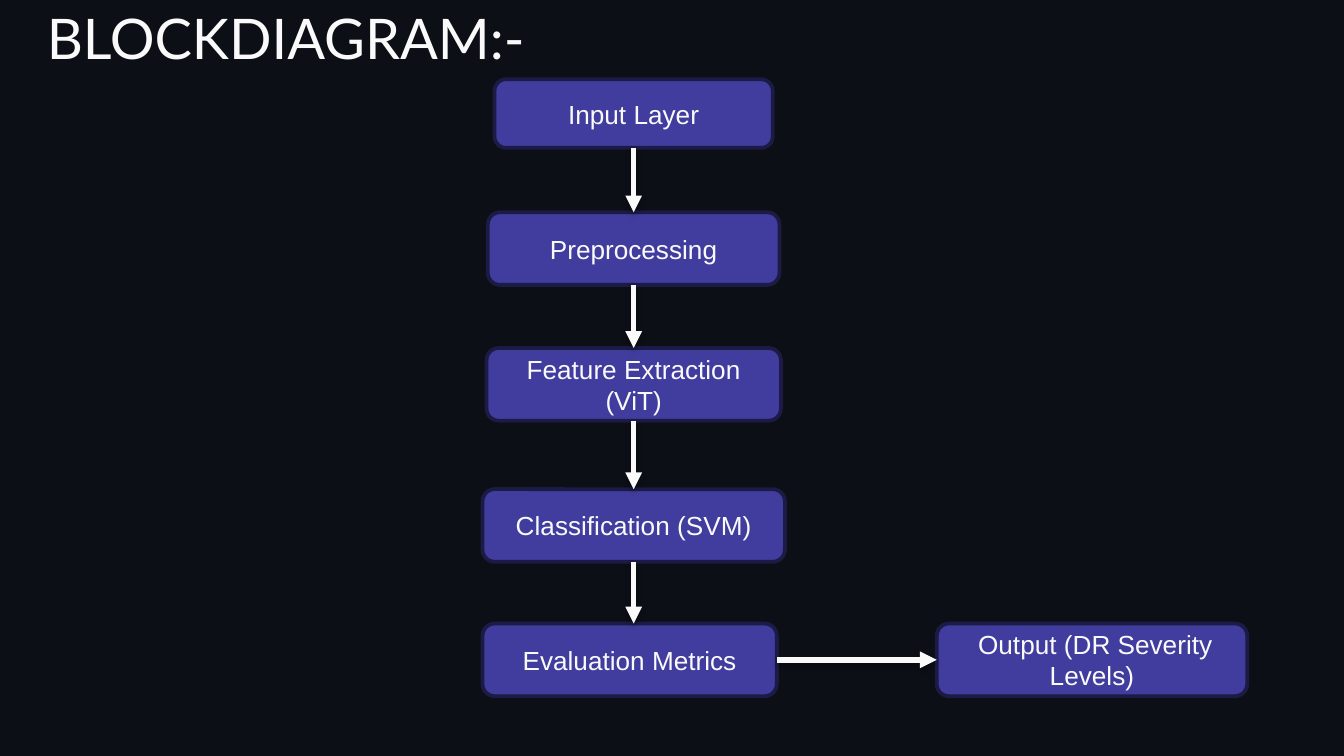
from lxml import etree
from pptx import Presentation
from pptx.dml.color import RGBColor
from pptx.enum import shapes, text
from pptx.oxml import parse_xml
from pptx.oxml.ns import nsdecls, qn
from pptx.util import Inches, Pt

BACK, BOX, EDGE, LIGHT = "0C0F16", "413D9E", "1C1B45", "FAFAFA"
TITLE = "BLOCKDIAGRAM:-"
# label, left, top, width, height
STEPS = [
    ("Input Layer", 3.68, 0.59, 2.07, 0.51),
    ("Preprocessing", 3.63, 1.58, 2.17, 0.54),
    ("Feature Extraction (ViT)", 3.62, 2.59, 2.19, 0.54),
    ("Classification (SVM)", 3.59, 3.64, 2.25, 0.54),
    ("Evaluation Metrics", 3.59, 4.64, 2.19, 0.54),
]
OUTPUT = ("Output (DR Severity Levels)", 6.97, 4.64, 2.31, 0.54)
TOP, LEFT, BOTTOM, RIGHT = range(4)
SHADOW = (
    f'<a:effectLst {nsdecls("a")}>'
    '<a:outerShdw blurRad="40000" dist="23000" dir="5400000" rotWithShape="0">'
    '<a:srgbClr val="000000"><a:alpha val="35000"/></a:srgbClr>'
    '</a:outerShdw></a:effectLst>'
)


def color(value):
    return RGBColor.from_string(value)


def style(p, font, size):
    p.font.name, p.font.size = font, Pt(size)
    p.font.color.rgb = color(LIGHT)


def add_box(slide, label, *place):
    sp = slide.shapes.add_shape(shapes.MSO_SHAPE.ROUNDED_RECTANGLE, *map(Inches, place))
    sp.shadow.inherit = False
    sp.fill.solid()
    sp.fill.fore_color.rgb = color(BOX)
    sp.line.color.rgb = color(EDGE)
    sp.line.width = Pt(2)
    tf = sp.text_frame
    tf.word_wrap = True
    tf.vertical_anchor = text.MSO_ANCHOR.MIDDLE
    p = tf.paragraphs[0]
    p.text = label
    p.alignment = text.PP_ALIGN.CENTER
    style(p, "Arial", 14)
    return sp


def add_arrow(slide, start, start_side, end, end_side):
    """Join two boxes; a downward arrow stays vertical if their centres differ."""
    x = start.left + start.width // 2
    c = slide.shapes.add_connector(shapes.MSO_CONNECTOR.STRAIGHT, x, start.top, x, end.top)
    c.begin_connect(start, start_side)
    if end_side == LEFT or abs(end.left + end.width // 2 - x) < Inches(0.02):
        c.end_connect(end, end_side)
    c.line.color.rgb = color(LIGHT)
    c.line.width = Pt(3)
    etree.SubElement(c.get_or_add_ln(), qn("a:tailEnd"), type="triangle")
    c._element.spPr.append(parse_xml(SHADOW))


prs = Presentation()
prs.slide_width = Inches(10)
prs.slide_height = prs.slide_width * 9 // 16
s = prs.slides.add_slide(prs.slide_layouts[6])
s.background.fill.solid()
s.background.fill.fore_color.rgb = color(BACK)

tf = s.shapes.add_textbox(Inches(0.25), Inches(-0.07), Inches(8.43), Inches(0.63)).text_frame
tf.word_wrap = True
tf.margin_left = tf.margin_right = tf.margin_top = tf.margin_bottom = Inches(0.1)
tf.paragraphs[0].text = TITLE
style(tf.paragraphs[0], "Lato", 30)

steps = [add_box(s, *step) for step in STEPS]
output = add_box(s, *OUTPUT)
output.text_frame.paragraphs[0]._p.get_or_add_pPr().set("indent", str(Inches(0.05)))

for upper, lower in zip(steps, steps[1:]):
    add_arrow(s, upper, BOTTOM, lower, TOP)
add_arrow(s, steps[-1], RIGHT, output, LEFT)

prs.save("out.pptx")
